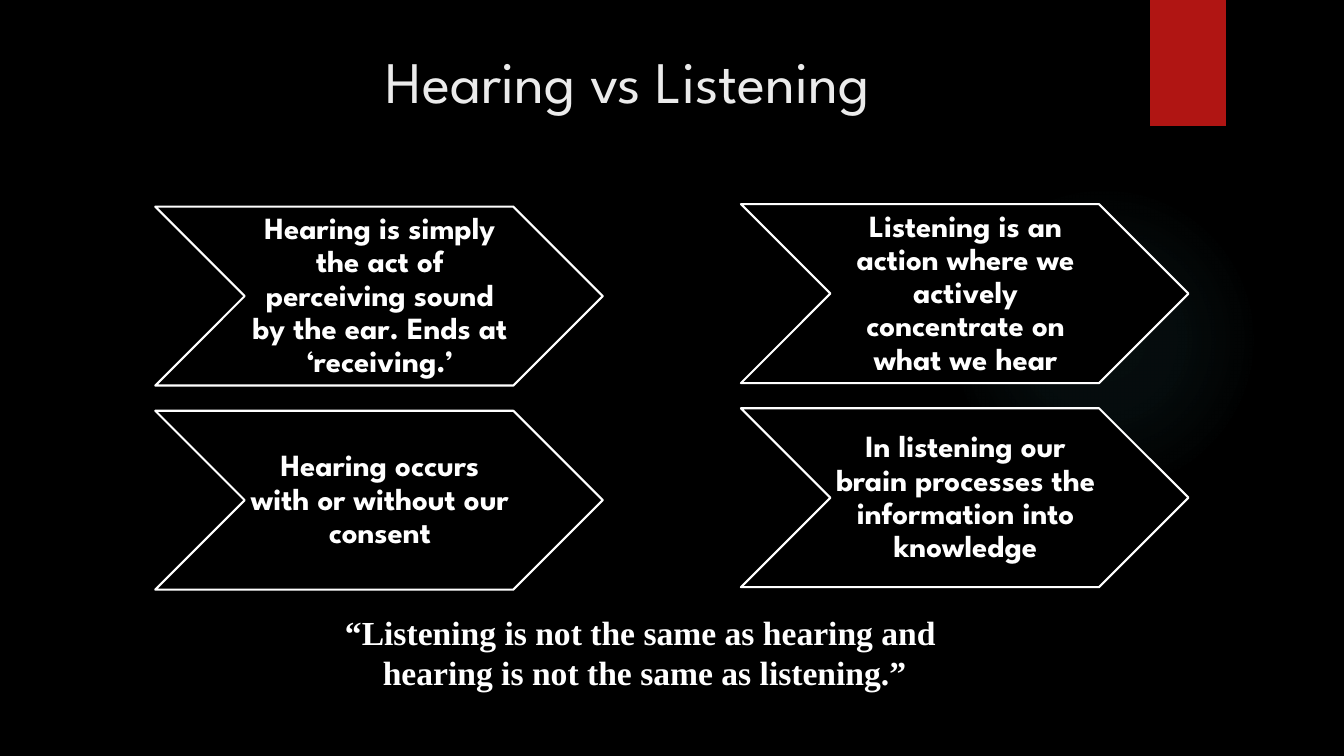
"""Build the slide that compares hearing with listening."""
from dataclasses import dataclass

import lxml.etree
import pptx
import pptx.dml.color
import pptx.enum.shapes
import pptx.enum.text
import pptx.oxml
import pptx.oxml.ns
import pptx.util
from pptx.shapes.autoshape import Shape
from pptx.slide import Slide

SLIDE_WIDTH = pptx.util.Inches(13.333)
SLIDE_HEIGHT = pptx.util.Inches(7.5)
BLACK, WHITE, RED, TEAL, PALE = "000000", "FFFFFF", "B01513", "50B9C1", "EBEBEB"
HEADING_FONT = "League Spartan"
SHAPES = pptx.enum.shapes.MSO_SHAPE
ANCHOR = pptx.enum.text.MSO_ANCHOR

ROW_PITCH = 27
CHEVRON_WIDTH, CHEVRON_HEIGHT = 33.3, 23.67
LABEL_INDENT, LABEL_WIDTH = 6.63, 19.95
GLOW_STOPS = ((0, 7), (36, 6), (69, 0))


@dataclass(frozen=True)
class Area:
    """A rectangle in percent of the slide's width and height."""

    left: float
    top: float
    width: float
    height: float

    def lengths(self) -> tuple[int, int, int, int]:
        """Return left, top, width and height as slide lengths."""
        return (
            round(SLIDE_WIDTH * self.left / 100),
            round(SLIDE_HEIGHT * self.top / 100),
            round(SLIDE_WIDTH * self.width / 100),
            round(SLIDE_HEIGHT * self.height / 100),
        )


@dataclass(frozen=True)
class TextStyle:
    """The look of a text box."""

    font: str
    size: float
    color: str = WHITE
    bold: bool = True
    anchor: ANCHOR = ANCHOR.TOP
    line_spacing: float = 1.0
    insets: tuple[float, float, float, float] = (0.1, 0.05, 0.1, 0.05)


@dataclass(frozen=True)
class ChevronColumn:
    """A stack of chevrons about one concept."""

    left: float
    top: float
    statements: tuple[str, ...]


TITLE_STYLE = TextStyle(HEADING_FONT, 42, PALE, bold=False)
LABEL_STYLE = TextStyle(HEADING_FONT, 22, anchor=ANCHOR.MIDDLE, line_spacing=0.9,
                        insets=(0.03, 0.02, 0, 0.02))
QUOTE_STYLE = TextStyle("Times New Roman", 24)

COLUMNS = (
    ChevronColumn(11.55, 27.33, (
        "Hearing is simply the act of perceiving sound by the ear. Ends at ‘receiving.’",
        "Hearing occurs with or without our consent",
    )),
    ChevronColumn(55.13, 27, (
        "Listening is an action where we actively concentrate on what we hear",
        "In listening our brain processes the information into knowledge",
    )),
)


def rgb(color: str) -> pptx.dml.color.RGBColor:
    """Turn a hex string into a colour."""
    return pptx.dml.color.RGBColor.from_string(color)


def add_shape(slide: Slide, kind: SHAPES, area: Area, fill: str, line: str | None = None) -> Shape:
    """Draw a flat preset shape."""
    shape = slide.shapes.add_shape(kind, *area.lengths())
    shape.shadow.inherit = False
    shape.fill.solid()
    shape.fill.fore_color.rgb = rgb(fill)
    if line:
        shape.line.color.rgb = rgb(line)
        shape.line.width = pptx.util.Pt(1.5)
    else:
        shape.line.fill.background()
    return shape


def add_glow(slide: Slide, area: Area) -> None:
    """Draw a faint round glow that fades outwards."""
    qn = pptx.oxml.ns.qn
    shape = add_shape(slide, SHAPES.OVAL, area, TEAL)
    gradient = pptx.oxml.parse_xml(f"<a:gradFill {pptx.oxml.ns.nsdecls('a')}/>")
    stops = lxml.etree.SubElement(gradient, qn("a:gsLst"))
    for position, opacity in GLOW_STOPS:
        stop = lxml.etree.SubElement(stops, qn("a:gs"), pos=str(position * 1000))
        color = lxml.etree.SubElement(stop, qn("a:srgbClr"), val=TEAL)
        lxml.etree.SubElement(color, qn("a:alpha"), val=str(opacity * 1000))
    circle = lxml.etree.SubElement(gradient, qn("a:path"), path="circle")
    center = dict.fromkeys("ltrb", "50000")
    lxml.etree.SubElement(circle, qn("a:fillToRect"), center)
    properties = shape.element.spPr
    properties.replace(properties.find(qn("a:solidFill")), gradient)


def add_text(slide: Slide, area: Area, lines: tuple[str, ...], style: TextStyle) -> None:
    """Write centred paragraphs in a text box."""
    frame = slide.shapes.add_textbox(*area.lengths()).text_frame
    frame.word_wrap = True
    frame.vertical_anchor = style.anchor
    (frame.margin_left, frame.margin_top, frame.margin_right, frame.margin_bottom) = map(
        pptx.util.Inches, style.insets)
    for index, line in enumerate(lines):
        paragraph = frame.add_paragraph() if index else frame.paragraphs[0]
        paragraph.alignment = pptx.enum.text.PP_ALIGN.CENTER
        paragraph.line_spacing = style.line_spacing
        run = paragraph.add_run()
        run.text = line
        run.font.name = style.font
        run.font.size = pptx.util.Pt(style.size)
        run.font.bold = style.bold
        run.font.color.rgb = rgb(style.color)


def add_column(slide: Slide, column: ChevronColumn) -> None:
    """Draw a column of labelled chevrons."""
    for row, statement in enumerate(column.statements):
        top = column.top + row * ROW_PITCH
        chevron = Area(column.left, top, CHEVRON_WIDTH, CHEVRON_HEIGHT)
        label = Area(column.left + LABEL_INDENT, top, LABEL_WIDTH, CHEVRON_HEIGHT)
        add_shape(slide, SHAPES.CHEVRON, chevron, BLACK, WHITE)
        add_text(slide, label, (statement,), LABEL_STYLE)


def main() -> None:
    """Build and save the presentation."""
    presentation = pptx.Presentation()
    presentation.slide_width = SLIDE_WIDTH
    presentation.slide_height = SLIDE_HEIGHT
    slide = presentation.slides.add_slide(presentation.slide_layouts[6])
    slide.background.fill.solid()
    slide.background.fill.fore_color.rgb = rgb(BLACK)
    add_glow(slide, Area(70.58, 24.4, 23.1, 41.07))
    add_shape(slide, SHAPES.RECTANGLE, Area(85.58, 0, 5.63, 16.67), RED)
    add_text(slide, Area(5.48, 5.2, 82.5, 16.8), ("Hearing vs Listening",), TITLE_STYLE)
    for column in COLUMNS:
        add_column(slide, column)
    quote = ("“Listening is not the same as hearing and ", "hearing is not the same as listening.”")
    add_text(slide, Area(24.15, 80.27, 47.63, 12.13), quote, QUOTE_STYLE)
    presentation.save("out.pptx")


if __name__ == "__main__":
    main()
